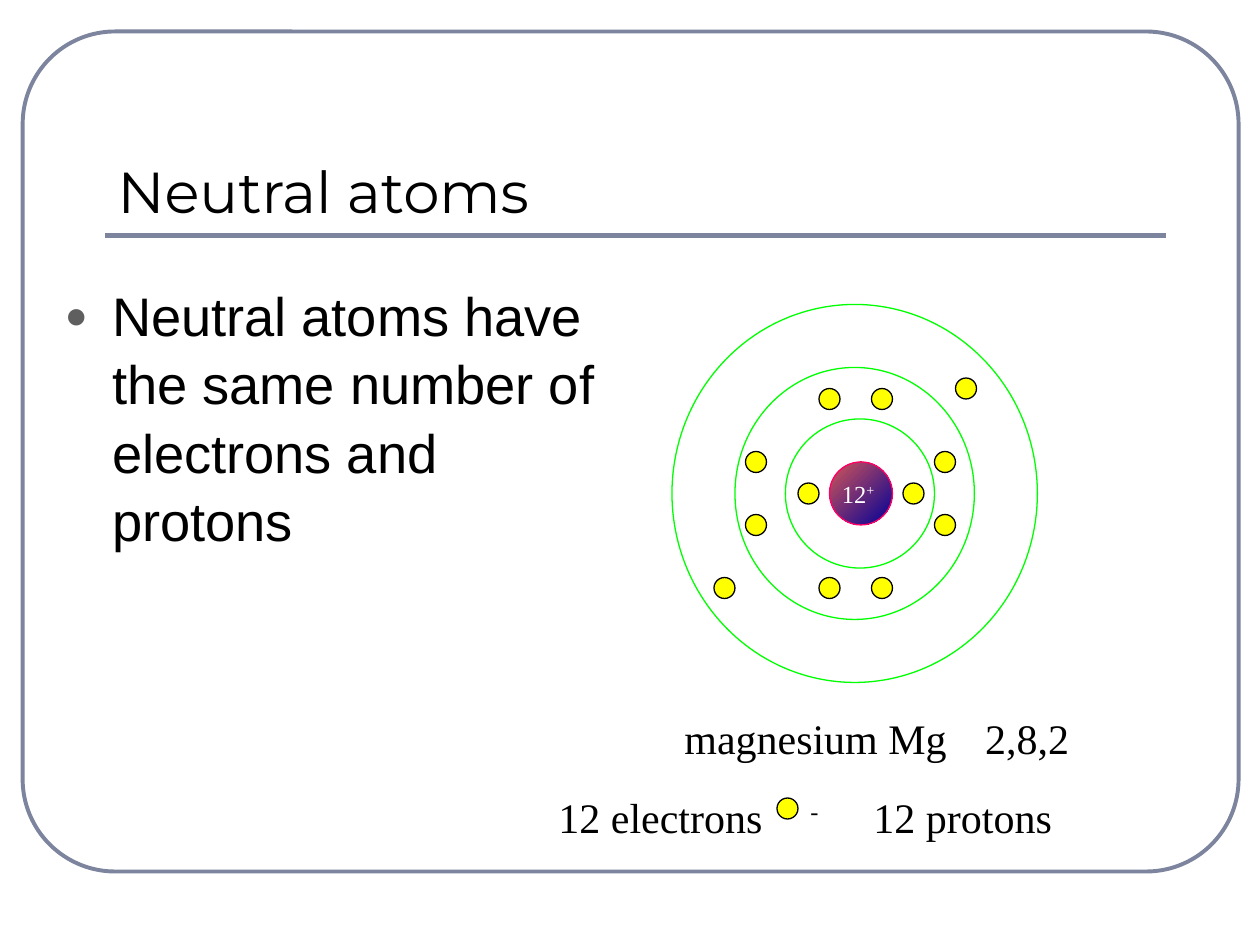
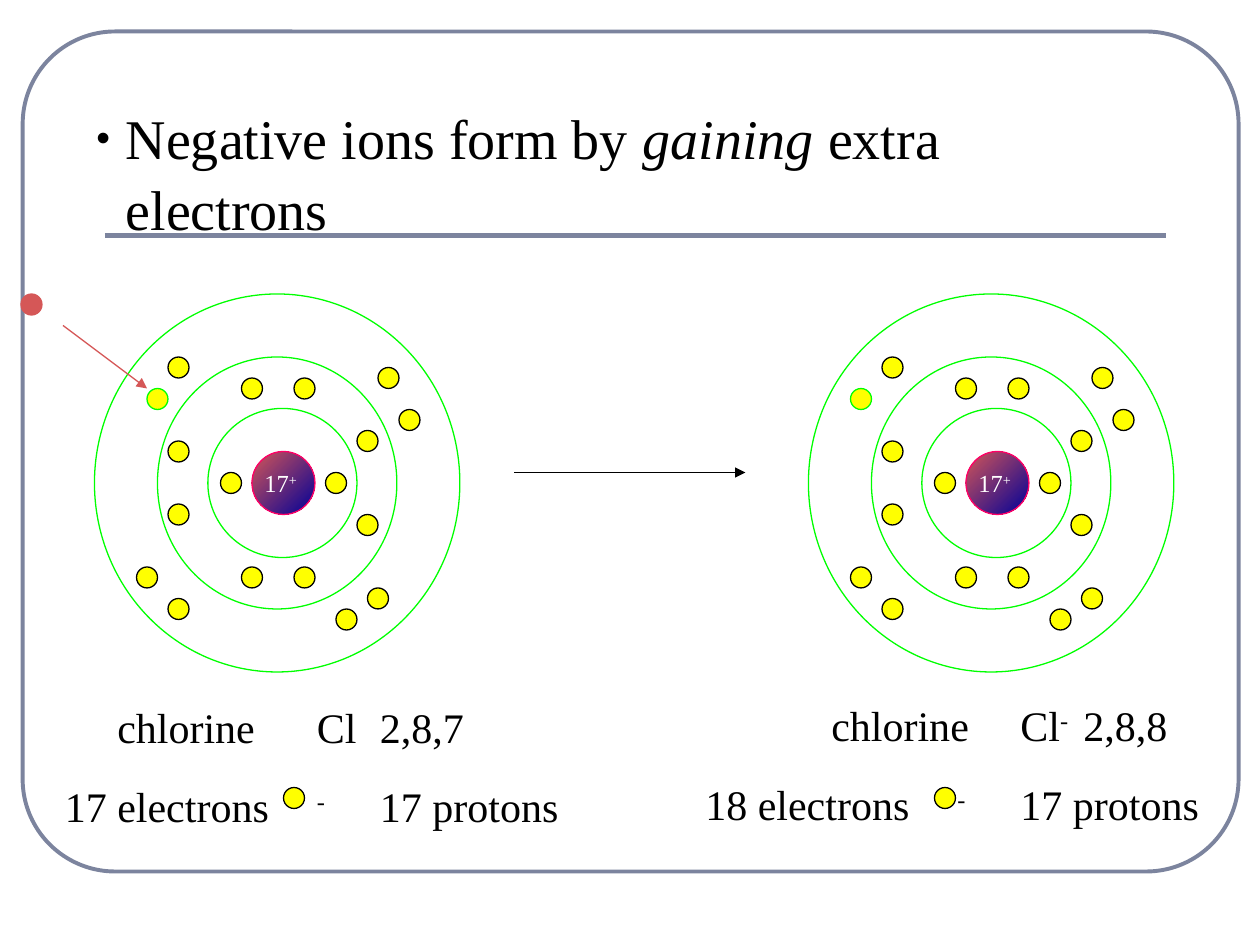
from lxml import etree
from pptx import Presentation
from pptx import util as u
from pptx.dml.color import RGBColor
from pptx.enum import shapes, text
from pptx.oxml.ns import qn

COLUMNS, ROWS = 120, 90
TITLE_ONLY, BLANK = 5, 6

BLACK, WHITE, SLATE, GREY = "000000", "FFFFFF", "7C849E", "5F5F5F"
GREEN, YELLOW, RED, NAVY, PINK = "00FF00", "FFFF00", "D55757", "000099", "FF0066"
SERIF, SANS, DISPLAY = "Times New Roman", "Arial", "Montserrat"

ELECTRON = 2
RINGS = [(10.8, 10.9, 14.2, 14.2), (6, 6, 22.8, 24), (0, 0, 34.8, 36)]
INNER_ELECTRONS = [(column, 17) for column in (12, 22)]
SECOND_SHELL = [(column, row) for column in (14, 19) for row in (8, 26)]
SECOND_SHELL += [(7, 14), (7, 20)]
CORE = INNER_ELECTRONS + SECOND_SHELL
MAGNESIUM = CORE + [(25, 14), (25, 20), (27, 7), (4, 26)]
CHLORINE = CORE + [(25, 13), (25, 21), (27, 7), (29, 11), (26, 28),
                   (23, 30), (7, 29), (4, 26), (7, 6)]


def color(code):
    return RGBColor.from_string(code)


class Deck:
    def __init__(self):
        self.presentation = Presentation()
        self.presentation.slide_width = u.Inches(10)
        self.presentation.slide_height = u.Inches(7.5)
        self.slide = None

    def across(self, columns):
        return round(self.presentation.slide_width * columns / COLUMNS)

    def down(self, rows):
        return round(self.presentation.slide_height * rows / ROWS)

    def area(self, column, row, columns, rows):
        return (self.across(column), self.down(row),
                self.across(columns), self.down(rows))

    def new_slide(self, layout):
        layouts = self.presentation.slide_layouts
        self.slide = self.presentation.slides.add_slide(layouts[layout])
        frame = self.shape(shapes.MSO_SHAPE.ROUNDED_RECTANGLE,
                           (2.16, 3, 115.8, 80), None, SLATE, 2.25)
        frame.adjustments[0] = 0.11
        self.line((10, 22.4), (111, 22.4), SLATE, 3)

    def shape(self, kind, area, fill, outline, width=0.75):
        shape = self.slide.shapes.add_shape(kind, *self.area(*area))
        shape.shadow.inherit = False
        if fill:
            shape.fill.solid()
            shape.fill.fore_color.rgb = color(fill)
        else:
            shape.fill.background()
        shape.line.color.rgb = color(outline)
        shape.line.width = u.Pt(width)
        return shape

    def circle(self, area, fill, outline):
        return self.shape(shapes.MSO_SHAPE.OVAL, area, fill, outline)

    def electron(self, column, row, fill=YELLOW, outline=BLACK):
        self.circle((column, row, ELECTRON, ELECTRON), fill, outline)

    def line(self, start, end, code, width=0.75, arrow=False):
        line = self.slide.shapes.add_connector(
            shapes.MSO_CONNECTOR.STRAIGHT,
            self.across(start[0]), self.down(start[1]),
            self.across(end[0]), self.down(end[1]))
        line.line.color.rgb = color(code)
        line.line.width = u.Pt(width)
        if arrow:
            etree.SubElement(line.line._get_or_add_ln(), qn("a:tailEnd"), type="triangle")
        etree.SubElement(line._element.spPr, qn("a:effectLst"))

    def title(self, words):
        title = self.slide.shapes.title
        title.left, title.top, title.width, title.height = self.area(10, 7, 101, 15)
        frame = title.text_frame
        frame.auto_size = text.MSO_AUTO_SIZE.NONE
        frame.vertical_anchor = text.MSO_ANCHOR.BOTTOM
        frame.paragraphs[0].alignment = text.PP_ALIGN.LEFT
        self.runs(frame.paragraphs[0], [words], 33, DISPLAY)

    def text_box(self, area, wrap=True):
        frame = self.slide.shapes.add_textbox(*self.area(*area)).text_frame
        frame.word_wrap = wrap
        return frame

    def runs(self, paragraph, parts, size, font, code=BLACK):
        for part in parts:
            words, style = part if isinstance(part, tuple) else (part, None)
            run = paragraph.add_run()
            run.text = words
            run.font.size = u.Pt(size)
            run.font.name = font
            run.font.color.rgb = color(code)
            if style == "italic":
                run.font.italic = True
            if style == "super":
                run._r.get_or_add_rPr().set("baseline", "30000")

    def bullet(self, area, parts, size, font, mark, mark_color, indent):
        paragraph = self.text_box(area).paragraphs[0]
        paragraph.line_spacing = 1.05
        properties = paragraph._p.get_or_add_pPr()
        properties.set("marL", str(self.across(indent)))
        properties.set("indent", str(-self.across(indent)))
        tint = etree.SubElement(properties, qn("a:buClr"))
        etree.SubElement(tint, qn("a:srgbClr"), val=mark_color)
        etree.SubElement(properties, qn("a:buSzPct"), val="70000")
        etree.SubElement(properties, qn("a:buFont"), typeface=SANS)
        etree.SubElement(properties, qn("a:buChar"), char=mark)
        self.runs(paragraph, parts, size, font)

    def tabbed(self, paragraph, parts, stops, indent=0):
        paragraph.line_spacing = 1.05
        properties = paragraph._p.get_or_add_pPr()
        properties.set("marL", "0")
        properties.set("indent", str(self.across(indent)))
        tabs = etree.SubElement(properties, qn("a:tabLst"))
        for stop in stops:
            etree.SubElement(tabs, qn("a:tab"), pos=str(self.across(stop)), algn="l")
        self.runs(paragraph, parts, 24, SERIF)

    def caption(self, column, row, name, name_stops, indent, count, protons, count_stops):
        frame = self.text_box((column, row, 55, 13.3))
        self.tabbed(frame.paragraphs[0], name, name_stops, indent)
        counts = frame.add_paragraph()
        counts.space_before = u.Pt(15)
        parts = [f"{count} electrons\t", ("-", "super"), f"\t{protons} protons"]
        self.tabbed(counts, parts, count_stops)

    def nucleus(self, column, row, protons):
        nucleus = self.circle((column, row, 6, 6), None, PINK)
        nucleus.fill.gradient()
        nucleus.fill.gradient_angle = 315
        for stop, position, code in zip(nucleus.fill.gradient_stops, (0, 1), (RED, NAVY)):
            stop.position = position
            stop.color.rgb = color(code)
        label = self.text_box((column, row + 1, 7, 4), wrap=False)
        self.runs(label.paragraphs[0], [str(protons), ("+", "super")], 14, SERIF, WHITE)

    def atom(self, column, row, protons, electrons):
        for left, top, width, height in RINGS:
            self.circle((column + left, row + top, width, height), None, GREEN)
        self.nucleus(column + 15, row + 15, protons)
        for left, top in electrons:
            self.electron(column + left, row + top)


def neutral_atoms(deck):
    deck.new_slide(TITLE_ONLY)
    deck.title("Neutral atoms")
    deck.bullet((5, 26, 54, 42),
                ["Neutral atoms have the same number of electrons and protons"],
                31, SANS, "●", GREY, 4.5)
    deck.atom(64, 29, 12, MAGNESIUM)
    deck.caption(52, 67, ["magnesium Mg\t2,8,2"], [39], 12, 12, 12, [23.5, 29.3])
    deck.electron(74, 76)


def negative_ions(deck):
    deck.new_slide(BLANK)
    deck.bullet((8, 9, 102, 7.7),
                ["Negative ions form by ", ("gaining", "italic"), " extra electrons"],
                32, SERIF, "•", BLACK, 2.8)
    for column in (77, 9):
        deck.atom(column, 28, 17, CHLORINE)
    for column in (81, 14):
        deck.electron(column, 37, outline=GREEN)
    deck.line((49, 45), (71, 45), BLACK, arrow=True)
    deck.caption(66, 65.8, ["chlorine\tCl", ("-", "super"), "\t2,8,8"],
                 [27.1, 34.7], 12, 18, 17, [24.4, 30.4])
    deck.caption(5, 66, ["chlorine\tCl\t2,8,7"],
                 [20.2, 26.9], 5, 17, 17, [23.5, 29.3])
    for column in (89, 27):
        deck.electron(column, 75)
    deck.electron(2, 28, RED, RED)
    deck.line((6, 31), (14, 37), RED, arrow=True)


def main():
    deck = Deck()
    neutral_atoms(deck)
    negative_ions(deck)
    deck.presentation.save("out.pptx")


if __name__ == "__main__":
    main()
